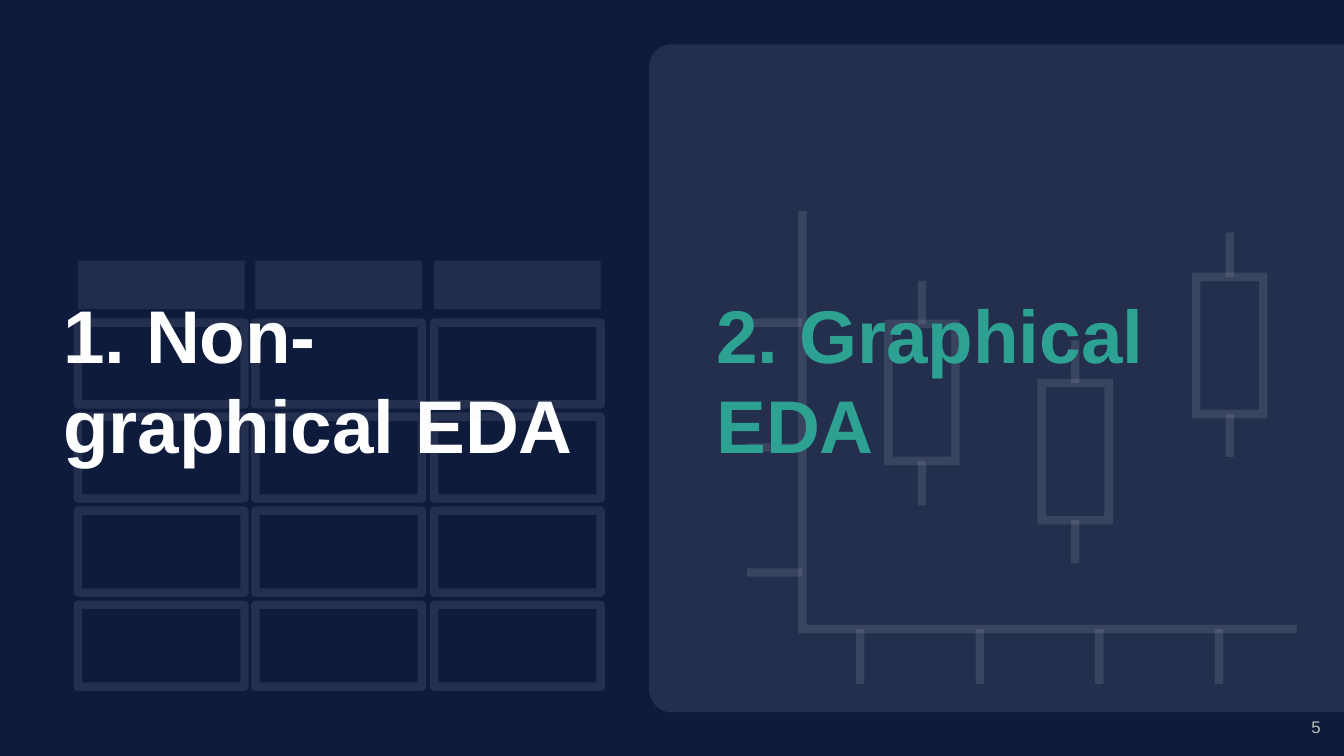
import lxml.etree
import pptx
import pptx.dml.color
import pptx.enum.shapes
import pptx.enum.text
import pptx.oxml.ns
import pptx.util

Inches = pptx.util.Inches
Pt = pptx.util.Pt
qn = pptx.oxml.ns.qn
SHAPES = pptx.enum.shapes.MSO_SHAPE
STRAIGHT = pptx.enum.shapes.MSO_CONNECTOR.STRAIGHT
LEFT = pptx.enum.text.PP_ALIGN.LEFT
TOP = pptx.enum.text.MSO_ANCHOR.TOP
FIT = pptx.enum.text.MSO_AUTO_SIZE.SHAPE_TO_FIT_TEXT

NAVY = pptx.dml.color.RGBColor(0x0E, 0x1B, 0x3C)
MIST = pptx.dml.color.RGBColor(0xE9, 0xED, 0xEE)
WHITE = pptx.dml.color.RGBColor(0xFF, 0xFF, 0xFF)
TEAL = pptx.dml.color.RGBColor(0x1A, 0x99, 0x88)
GREY = pptx.dml.color.RGBColor(0xBD, 0xBD, 0xBD)


def fill_block(shape, color, opacity=100):
    shape.shadow.inherit = False
    shape.fill.solid()
    shape.fill.fore_color.rgb = color
    shape.line.fill.background()
    if opacity < 100:
        tone = shape._element.spPr.find(".//" + qn("a:srgbClr"))
        lxml.etree.SubElement(tone, qn("a:alpha"), val=str(opacity * 1000))


def draw_outline(shape, opacity, join):
    shape.line.color.rgb = MIST
    shape.line.width = Pt(4.5)
    stroke = shape._element.spPr.find(qn("a:ln"))
    tone = stroke.find(".//" + qn("a:srgbClr"))
    lxml.etree.SubElement(tone, qn("a:alpha"), val=str(opacity * 1000))
    lxml.etree.SubElement(stroke, qn(join))
    if hasattr(shape, "fill"):
        shape.fill.background()
        shape.shadow.inherit = False
    else:
        lxml.etree.SubElement(shape._element.spPr, qn("a:effectLst"))


deck = pptx.Presentation()
deck.slide_width = Inches(10)
deck.slide_height = Inches(10) * 9 // 16
slide = deck.slides.add_slide(deck.slide_layouts[1])

backdrop = slide.shapes.add_shape(SHAPES.RECTANGLE, 0, 0, deck.slide_width, deck.slide_height)
fill_block(backdrop, NAVY)

box_plot = slide.shapes.add_group_shape().shapes
for left, top, middle, upper_tip, lower_tip in [
    (6.61, 2.41, 6.86, 2.09, 3.76),
    (7.75, 2.85, 8, 2.53, 4.19),
    (8.9, 2.06, 9.15, 1.73, 3.4),
]:
    quartiles = box_plot.add_shape(
        SHAPES.RECTANGLE, Inches(left), Inches(top), Inches(0.5), Inches(1.02))
    draw_outline(quartiles, 11, "a:miter")
    for tip, site in [(upper_tip, 0), (lower_tip, 2)]:
        whisker = box_plot.add_connector(
            STRAIGHT, Inches(middle), Inches(top), Inches(middle), Inches(tip))
        whisker.begin_connect(quartiles, site)
        draw_outline(whisker, 11, "a:miter")

axis_path = box_plot.build_freeform(Inches(9.65), Inches(4.68))
axis_path.add_line_segments(
    [(Inches(5.97), Inches(4.68)), (Inches(5.97), Inches(1.57))], close=False)
draw_outline(axis_path.convert_to_shape(), 11, "a:miter")

ticks = [(5.56, 2.4 + 0.93 * i, 5.97, 2.4 + 0.93 * i) for i in range(3)]
ticks += [(6.4 + 0.89 * i, 5.09, 6.4 + 0.89 * i, 4.68) for i in range(4)]
for ends in ticks:
    tick = box_plot.add_connector(STRAIGHT, *[Inches(value) for value in ends])
    draw_outline(tick, 11, "a:miter")

for heading, words, left, width, color in [
    (slide.placeholders[1], "2. Graphical EDA", 5.33, 4.09, TEAL),
    (slide.shapes.title, "1. Non-graphical EDA", 0.47, 4.17, WHITE),
]:
    slide.shapes._spTree.append(heading._element)
    heading.left, heading.top = Inches(left), Inches(2.15)
    heading.width, heading.height = Inches(width), Inches(1.35)
    heading.text_frame.text = words
    line = heading.text_frame.paragraphs[0]
    for target, formats in [
        (heading.text_frame, {
            "margin_left": 0, "margin_right": 0, "margin_top": 0, "margin_bottom": 0,
            "word_wrap": True, "auto_size": FIT, "vertical_anchor": TOP}),
        (line, {"alignment": LEFT, "line_spacing": 1.0, "space_before": Pt(0)}),
        (line.runs[0].font, {"name": "Arial", "size": Pt(40), "bold": True}),
    ]:
        for name, value in formats.items():
            setattr(target, name, value)
    line.runs[0].font.color.rgb = color
    indents = line._p.get_or_add_pPr()
    indents.set("marL", "0")
    indents.set("indent", "0")
    lxml.etree.SubElement(indents, qn("a:buNone"))

panel = slide.shapes.add_shape(
    SHAPES.ROUNDED_RECTANGLE, Inches(4.83), Inches(0.33), Inches(5.36), Inches(4.97))
panel.adjustments[0] = 0.034
fill_block(panel, WHITE, 9)

for left in [0.58, 1.9, 3.23]:
    header = slide.shapes.add_shape(
        SHAPES.RECTANGLE, Inches(left), Inches(1.94), Inches(1.24), Inches(0.36))
    fill_block(header, MIST, 9)
    for row in range(4):
        cell = slide.shapes.add_shape(
            SHAPES.RECTANGLE, Inches(left), Inches(2.4 + 0.7 * row), Inches(1.24), Inches(0.61))
        draw_outline(cell, 9, "a:round")

page_number = slide.shapes.add_textbox(Inches(9.66), Inches(5.28), Inches(0.27), Inches(0.25))
page_number.text_frame.text = "5"
page_number.text_frame.word_wrap = False
page_number.text_frame.auto_size = FIT
digit = page_number.text_frame.paragraphs[0].runs[0].font
for name, value in {"name": "Arial", "size": Pt(9)}.items():
    setattr(digit, name, value)
digit.color.rgb = GREY

deck.save("out.pptx")
